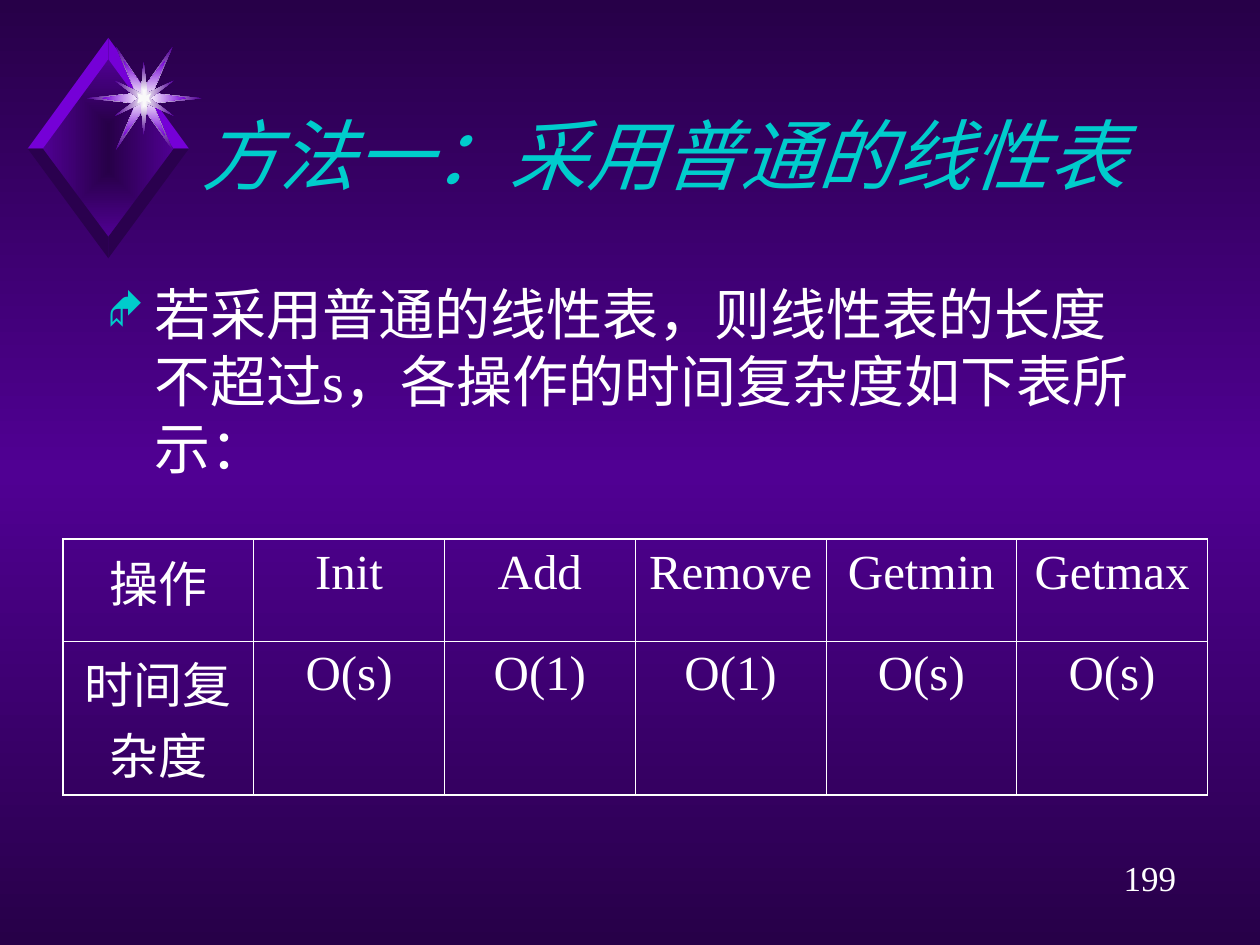
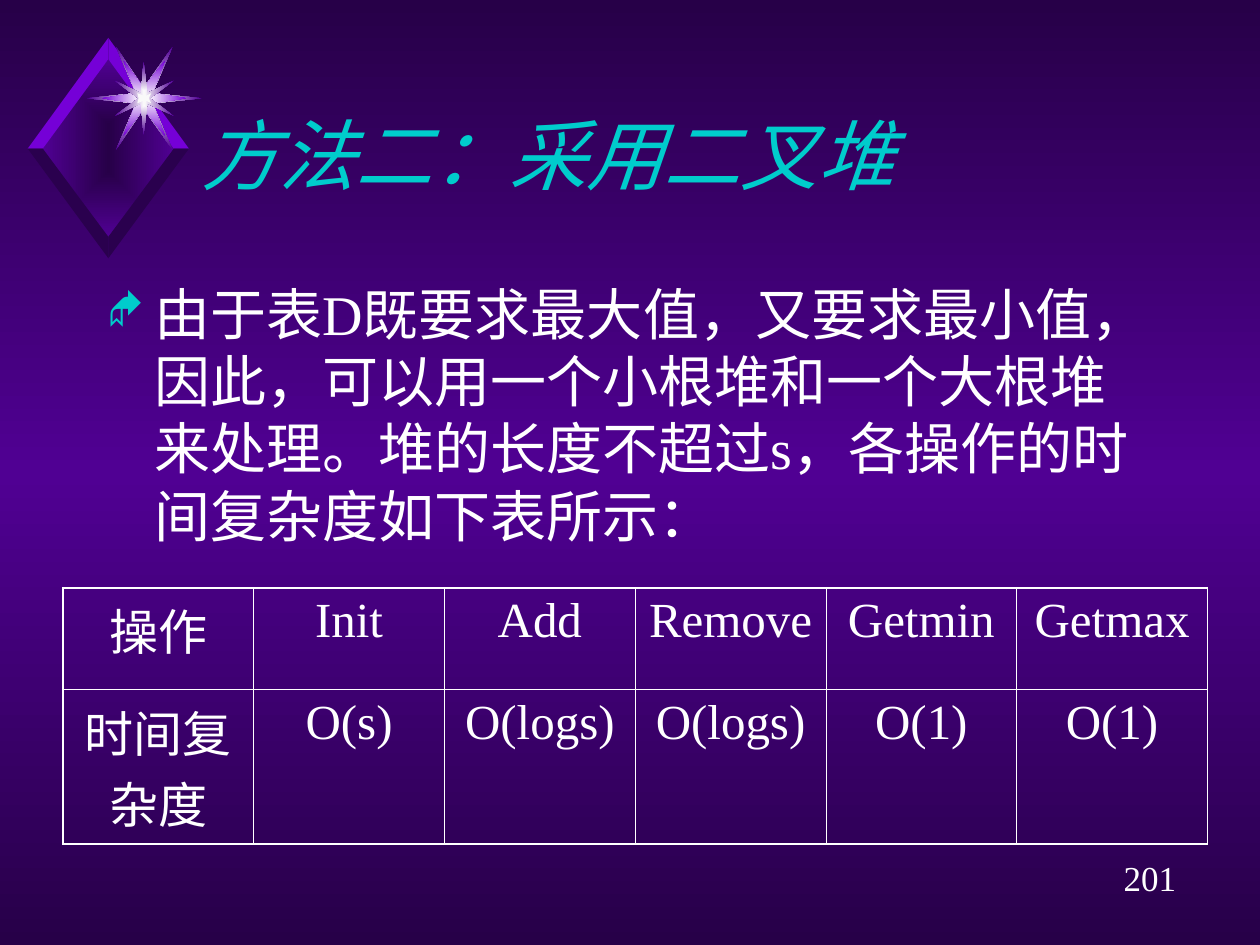
"""Two slides on the cost of list and heap methods, in a violet diamond theme."""
from pptx import Presentation
from pptx import util as u
from pptx.dml.color import RGBColor
from pptx.enum import text
from pptx.oxml import parse_xml
from pptx.oxml.ns import nsdecls, qn

NIGHT = RGBColor(0x27, 0x00, 0x48)
VIOLET = RGBColor(0x50, 0x00, 0x93)
BRIGHT = RGBColor(0x75, 0x00, 0xD7)
SHADE = RGBColor(0x2A, 0x00, 0x4E)
GLOW = RGBColor(0xFE, 0xFE, 0xFE)
SPARK = RGBColor(0xF9, 0xF9, 0xF9)
TEAL = RGBColor(0x00, 0xCC, 0xCC)
WHITE = RGBColor(0xFF, 0xFF, 0xFF)
FONT = "Times New Roman"

HEAD = ["操作", "Init", "Add", "Remove", "Getmin", "Getmax"]
LABEL = "时间复杂度"
SLIDES = [
    {"title": "方法一：采用普通的线性表",
     "body": "若采用普通的线性表，则线性表的长度不超过s，各操作的时间复杂度如下表所示：",
     "costs": ["O(s)", "O(1)", "O(1)", "O(s)", "O(s)"],
     "tall": 4.45, "top": 10.87, "page": "199"},
    {"title": "方法二：采用二叉堆",
     "body": "由于表D既要求最大值，又要求最小值，因此，可以用一个小根堆和一个大根堆来处理。"
             "堆的长度不超过s，各操作的时间复杂度如下表所示：",
     "costs": ["O(s)", "O(logs)", "O(logs)", "O(1)", "O(1)"],
     "tall": 5.72, "top": 11.85, "page": "201"},
]

UNIT = u.Cm(0.0254)
GEM = (86, 117.5)
RIM_X, RIM_Y = (51.5, 64), (70.5, 87.5)
CORE = (114.5, 78)
STARS = [
    ([(45.5, 0), (6.5, 4), (22.5, 41), (0, 8)], (GLOW, VIOLET)),
    ([(33.5, 0), (6.5, 4), (16.5, 30), (0, 8)], (GLOW, BRIGHT)),
    ([(4.5, 0), (23.5, 14.5), (2.5, 4), (0, 29)], (GLOW, VIOLET)),
    ([(4, 0), (5.5, 4), (1, 2), (0, 7.5)], (SPARK,)),
]

TITLE = {"size": u.Pt(44), "italic": True, "color": TEAL}
BODY = {"size": u.Pt(32), "color": WHITE}
CELL = {"size": u.Pt(28), "color": WHITE}
PAGE = {"size": u.Pt(20), "color": WHITE}


def grade(part, fill, hues, way):
    """Give a part a gradient with evenly spaced colours."""
    fill.gradient()
    grad = next(part.element.iter(qn("a:gradFill")))
    grad.clear()
    stops = "".join(
        f'<a:gs pos="{100000 * i // (len(hues) - 1)}"><a:srgbClr val="{hue}"/></a:gs>'
        for i, hue in enumerate(hues))
    root = parse_xml(f'<a:gradFill {nsdecls("a")}><a:gsLst>{stops}</a:gsLst>{way}</a:gradFill>')
    grad.extend(list(root))


def draw(slide, dots, hues):
    """Draw a closed outline in one colour or in a centred gradient."""
    path = slide.shapes.build_freeform(*dots[0], scale=UNIT)
    path.add_line_segments(dots[1:], close=True)
    shape = path.convert_to_shape()
    shape.shadow.inherit = False
    shape.line.fill.background()
    if len(hues) == 1:
        shape.fill.solid()
        shape.fill.fore_color.rgb = hues[0]
    else:
        grade(shape, shape.fill, hues,
              '<a:path path="rect"><a:fillToRect l="50000" t="50000" r="50000" b="50000"/></a:path>')


def star(quart):
    """Mirror a quarter outline into a whole star."""
    dots = []
    for sx, sy in ((1, 1), (-1, 1), (-1, -1), (1, -1)):
        part = quart if sx == sy else quart[::-1]
        dots += [(CORE[0] + sx * x, CORE[1] + sy * y) for x, y in part[:-1]]
    return dots


def badge(slide):
    """Draw the bevelled diamond and its star."""
    x, y = GEM
    (ix, ox), (iy, oy) = RIM_X, RIM_Y
    draw(slide, [(x, y - iy), (x - ix, y), (x, y + iy), (x + ix, y)], (NIGHT, VIOLET))
    for sy, hue in ((-1, BRIGHT), (1, SHADE)):
        for sx in (1, -1):
            draw(slide, [(x, y + sy * iy), (x, y + sy * oy),
                         (x + sx * ox, y), (x + sx * ix, y)], (hue,))
    for quart, hues in STARS:
        draw(slide, star(quart), hues)


def write(frame, words, look, align, gap=0):
    """Write one paragraph in a frame and return it."""
    para = frame.paragraphs[0]
    para.alignment, para.space_before = align, u.Pt(gap)
    run = para.add_run()
    run.text = words
    for key, value in {"name": FONT, **look}.items():
        if key == "color":
            run.font.color.rgb = value
        else:
            setattr(run.font, key, value)
    return para


def box(slide, *place):
    """Add a wrapping text box and return its frame."""
    frame = slide.shapes.add_textbox(*map(u.Cm, place)).text_frame
    frame.word_wrap = True
    return frame


def bullet(para):
    """Give a paragraph a teal diamond bullet and keep marks inside the margin."""
    props = para._p.get_or_add_pPr()
    hang = u.Cm(0.95)
    for key, value in {"marL": hang, "indent": -hang, "hangingPunct": 0}.items():
        props.set(key, str(value))
    for bit in (f'buClr {nsdecls("a")}><a:srgbClr val="{TEAL}"/></a:buClr>',
                f'buSzPct {nsdecls("a")} val="75000"/>',
                f'buFont {nsdecls("a")} typeface="Wingdings" charset="2"/>',
                f'buChar {nsdecls("a")} char="◆"/>'):
        props.append(parse_xml("<a:" + bit))


def grid(slide, rows, top):
    """Add the cost table with a heavier outer frame."""
    tall = (2.05, 3.11)
    table = slide.shapes.add_table(
        len(rows), len(HEAD), *map(u.Cm, (1.27, top, 23.07, sum(tall)))).table
    table.first_row = table.horz_banding = False
    for r, row in enumerate(rows):
        table.rows[r].height = u.Cm(tall[r])
        for c, words in enumerate(row):
            cell = table.cell(r, c)
            cell.fill.background()
            write(cell.text_frame, words, CELL, text.PP_ALIGN.CENTER, 7)
            edges = {"L": c == 0, "R": c == len(row) - 1, "T": r == 0, "B": r == len(rows) - 1}
            for i, (side, outer) in enumerate(edges.items()):
                wide = u.Pt(1.08 if outer else 0.45)
                cell._tc.get_or_add_tcPr().insert(i, parse_xml(
                    f'<a:ln{side} {nsdecls("a")} w="{wide}"><a:solidFill>'
                    f'<a:srgbClr val="{WHITE}"/></a:solidFill></a:ln{side}>'))


def build(deck, page):
    """Build one slide."""
    slide = deck.slides.add_slide(deck.slide_layouts[5])
    badge(slide)
    title = slide.shapes.title
    place = {"left": 3.81, "top": 1.32, "width": 19.69, "height": 3.56}
    for key, value in place.items():
        setattr(title, key, u.Cm(value))
    frame = title.text_frame
    frame.auto_size = text.MSO_AUTO_SIZE.NONE
    frame.vertical_anchor = text.MSO_ANCHOR.MIDDLE
    write(frame, page["title"], TITLE, text.PP_ALIGN.LEFT)
    bullet(write(box(slide, 1.91, 5.51, 21.59, page["tall"]), page["body"],
                 BODY, text.PP_ALIGN.LEFT, 8))
    grid(slide, [HEAD, [LABEL] + page["costs"]], page["top"])
    write(box(slide, 22.01, 17.14, 2.34, 1.12), page["page"], PAGE, text.PP_ALIGN.CENTER, 12.5)


def main():
    """Build and save the deck."""
    deck = Presentation()
    deck.slide_width, deck.slide_height = u.Cm(25.4), u.Cm(19.05)
    master = deck.slide_master
    grade(master, master.background.fill, (NIGHT, VIOLET, NIGHT), '<a:lin ang="5400000" scaled="0"/>')
    for page in SLIDES:
        build(deck, page)
    deck.save("out.pptx")


if __name__ == "__main__":
    main()
